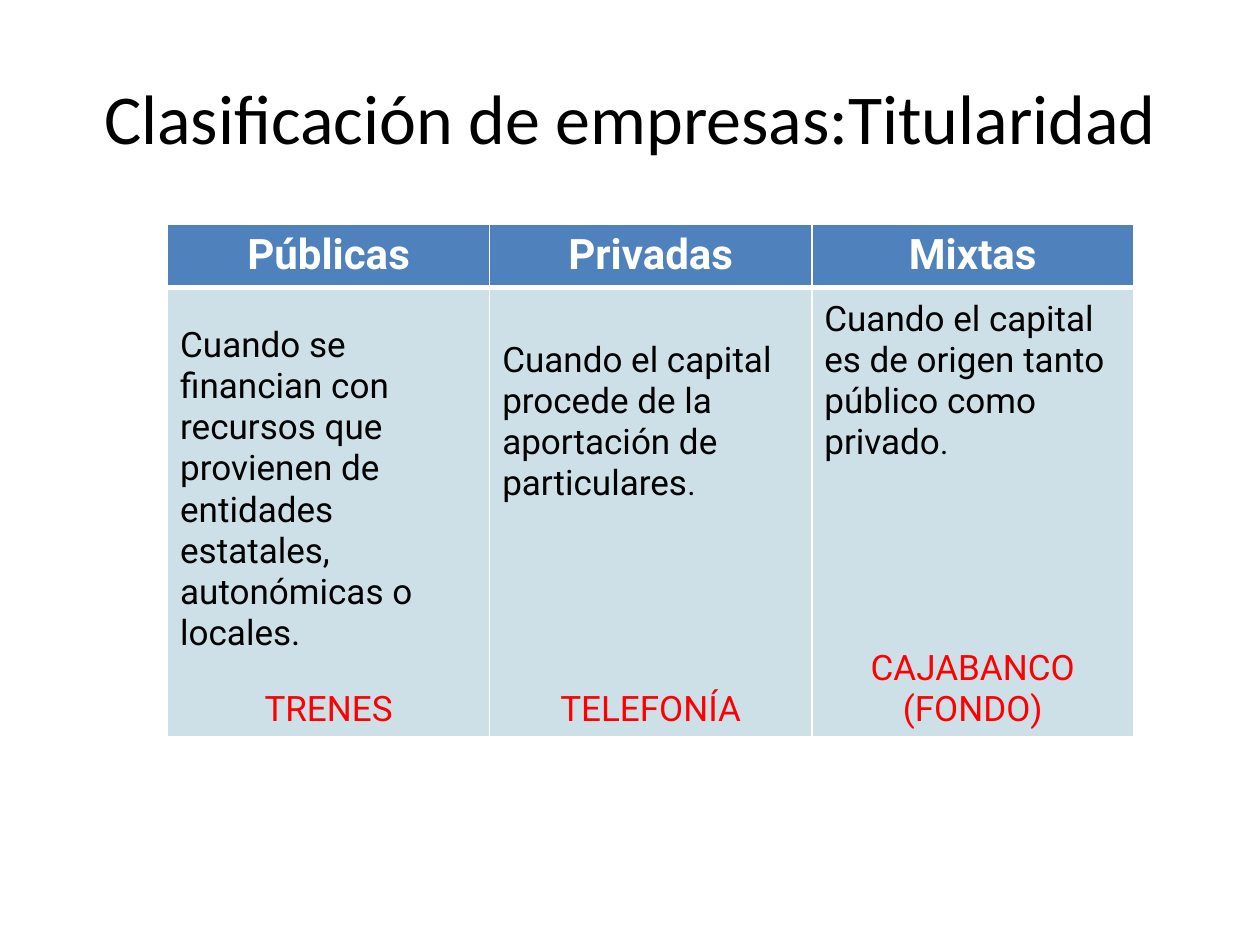
from lxml import etree
from pptx import Presentation
from pptx.dml.color import RGBColor
from pptx.enum.text import MSO_ANCHOR, PP_ALIGN
from pptx.oxml.ns import qn
from pptx.util import Inches, Pt

LEFT, CENTER = PP_ALIGN.LEFT, PP_ALIGN.CENTER
TOP, MIDDLE, BOTTOM = MSO_ANCHOR.TOP, MSO_ANCHOR.MIDDLE, MSO_ANCHOR.BOTTOM

TITLE = {"name": "Calibri", "size": Pt(40), "bold": False, "color": "000000"}
HEADER = {"name": "Roboto", "size": Pt(24), "bold": True, "color": "FFFFFF"}
BODY = {"name": "Roboto", "size": Pt(20), "bold": False, "color": "000000"}
STOP = {**BODY, "size": Pt(18)}
EXAMPLE = {**BODY, "color": "FF0000"}

ROW_HEIGHTS = (0.48, 3.52)
OWNERSHIP_TYPES = [
    ("Públicas",
     [[("Cuando se financian con recursos que provienen de entidades estatales,", BODY)],
      [("autonómicas o locales.", BODY)]],
     "TRENES", 20),
    ("Privadas",
     [[("Cuando el capital procede de la aportación de particulares", BODY), (".", STOP)]],
     "TELEFONÍA", 105.5),
    ("Mixtas",
     [[("Cuando el capital es de origen tanto público como", BODY)],
      [("privado", BODY), (".", STOP)]],
     "CAJABANCO (FONDO)", 105.5),
]


def rgb(value):
    return RGBColor.from_string(value)


def write_paragraph(frame, first, spans, align, gap=0):
    para = frame.paragraphs[0] if first else frame.add_paragraph()
    para.alignment = align
    para.space_before = Pt(gap)
    for text, style in spans:
        span = para.add_run()
        span.text = text
        for key, value in style.items():
            if key == "color":
                span.font.color.rgb = rgb(value)
            else:
                setattr(span.font, key, value)


def format_cell(cell, fill, anchor, borders):
    cell.vertical_anchor = anchor
    properties = cell._tc.get_or_add_tcPr()
    for side, width in borders.items():
        line = etree.SubElement(properties, qn(f"a:ln{side}"), w=str(Pt(width)))
        solid = etree.SubElement(line, qn("a:solidFill"))
        etree.SubElement(solid, qn("a:srgbClr"), val="FFFFFF")
    cell.fill.solid()
    cell.fill.fore_color.rgb = rgb(fill)


def add_title(page, left, top, width, height):
    box = page.shapes.add_textbox(Inches(left), Inches(top), Inches(width), Inches(height))
    frame = box.text_frame
    frame.word_wrap = True
    frame.vertical_anchor = MIDDLE
    write_paragraph(frame, True, [("Clasificación de empresas:Titularidad", TITLE)], CENTER)


def add_ownership_table(page, left, top, width):
    frame = page.shapes.add_table(
        len(ROW_HEIGHTS), len(OWNERSHIP_TYPES),
        Inches(left), Inches(top), Inches(width), Inches(sum(ROW_HEIGHTS)))
    table = frame.table
    for row, height in zip(table.rows, ROW_HEIGHTS):
        row.height = Inches(height)
    for column, (heading, definition, example, gap) in enumerate(OWNERSHIP_TYPES):
        header, body = table.cell(0, column), table.cell(1, column)
        format_cell(header, "4F81BD", TOP, {"L": 1, "R": 1, "T": 1, "B": 3})
        write_paragraph(header.text_frame, True, [(heading, HEADER)], CENTER)
        format_cell(body, "CDE0E8", BOTTOM, {"L": 1, "R": 1, "T": 3, "B": 1})
        for index, spans in enumerate(definition):
            write_paragraph(body.text_frame, index == 0, spans, LEFT)
        write_paragraph(body.text_frame, False, [(example, EXAMPLE)], CENTER, gap)


def main():
    deck = Presentation()
    deck.slide_width, deck.slide_height = Inches(10), Inches(7.5)
    page = deck.slides.add_slide(deck.slide_layouts[6])
    add_title(page, 0.5, 0.3, 9, 1.25)
    add_ownership_table(page, 1.33, 1.78, 7.67)
    deck.save("out.pptx")


if __name__ == "__main__":
    main()
